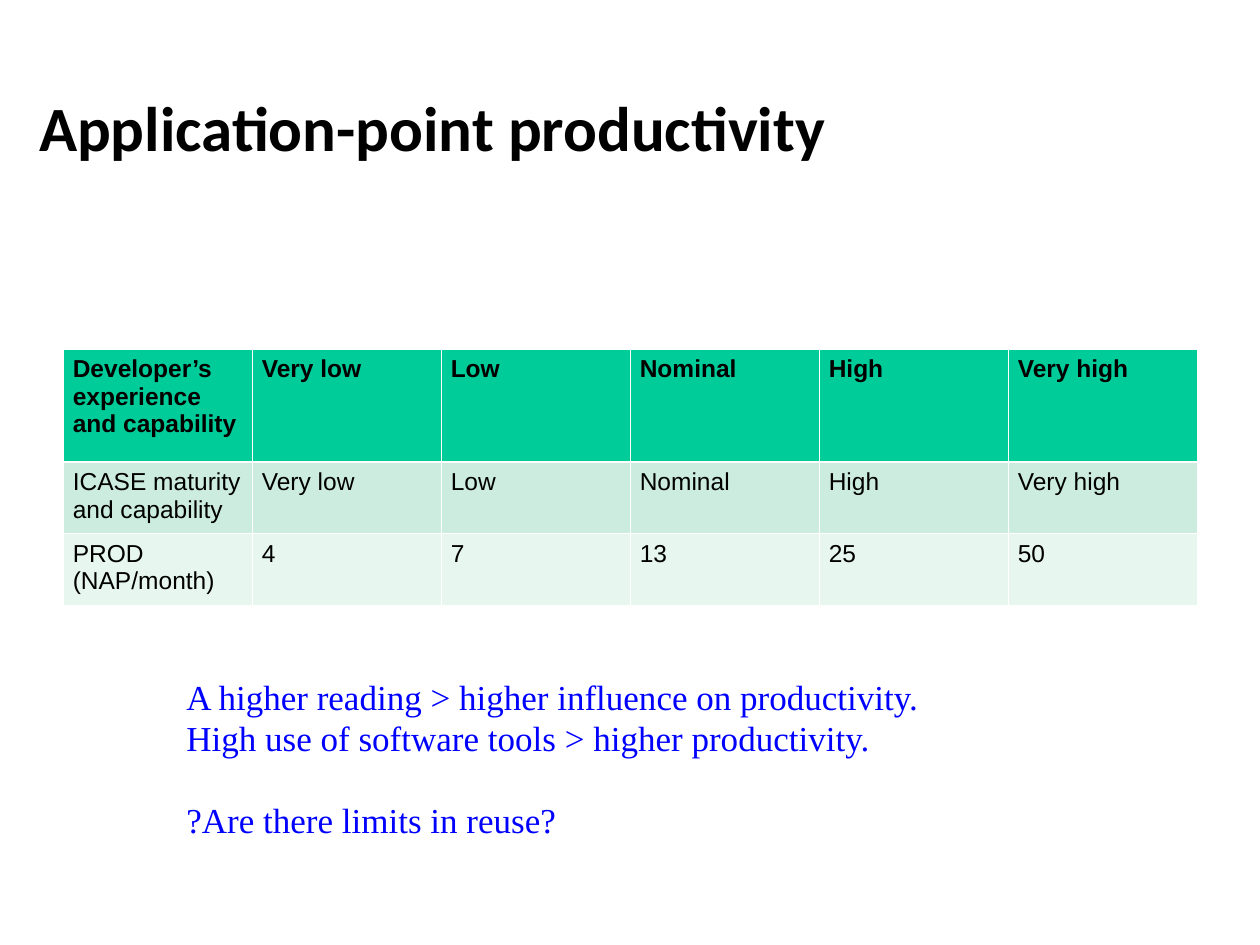
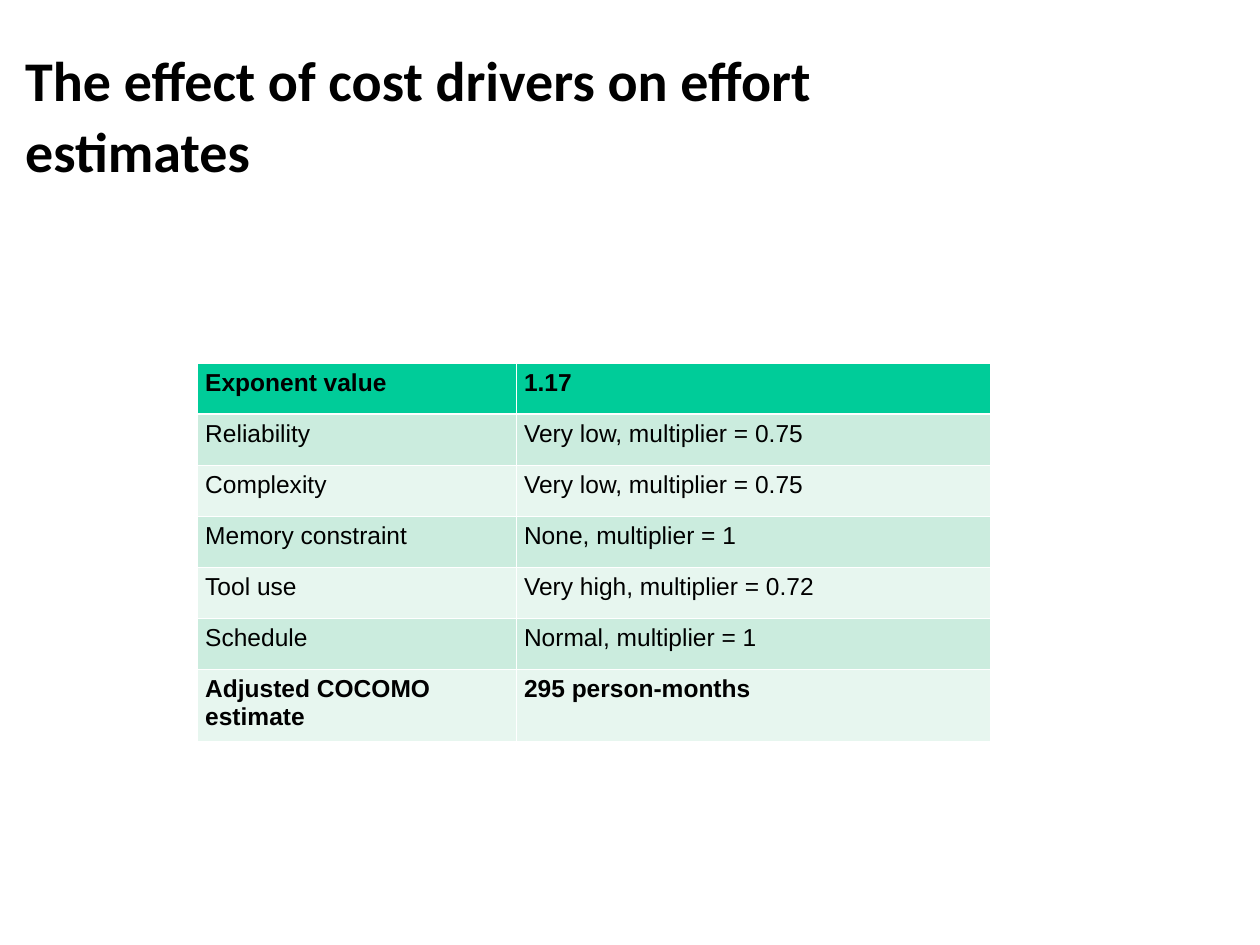
from lxml.etree import SubElement
from pptx import Presentation
from pptx.dml.color import RGBColor
from pptx.enum.text import MSO_ANCHOR as Anchor, MSO_AUTO_SIZE as AutoSize, PP_ALIGN as Align
from pptx.oxml.ns import qn
from pptx.util import Pt

COLORS = {name: RGBColor.from_string(value) for name, value in {
    "paper": "FFFFFF", "ink": "000000", "note": "0000FF",
    "header": "00CC99", "odd_row": "CBECDE", "even_row": "E7F6EF"}.items()}
TITLE_ONLY = 5
THIN, THICK = 0.45, 1.47


def style_text(para, font_name, size, color, bold=False):
    for span in para.runs:
        span.font.name = font_name
        span.font.size = Pt(size)
        span.font.bold = bold
        span.font.color.rgb = COLORS[color]


def add_border(cell, side, width):
    """Draw a white rule on one side (L, R, T or B); call before filling the cell."""
    line = SubElement(cell._tc.get_or_add_tcPr(), qn(f"a:ln{side}"), w=str(Pt(width)))
    fill = SubElement(line, qn("a:solidFill"))
    SubElement(fill, qn("a:srgbClr"), val=str(COLORS["paper"]))


slides = [
    {
        "title": "Application-point productivity",
        "title_box": (22.3, 25.9, 504.7, 90), "title_size": 36,
        "table_at": (36, 199.4), "columns": [108] * 6, "rows": [64.6, 41, 41],
        "side_margin": 5.6, "space_after": 0, "bold_rows": {0},
        "cells": [
            ["Developer’s experience and capability",
             "Very low", "Low", "Nominal", "High", "Very high"],
            ["ICASE maturity and capability",
             "Very low", "Low", "Nominal", "High", "Very high"],
            ["PROD (NAP/month)", "4", "7", "13", "25", "50"],
        ],
    },
    {
        "title": "The effect of cost drivers on effort estimates",
        "title_box": (14.4, 20.2, 573.1, 88.6), "title_size": 32,
        "table_at": (113, 207.6), "columns": [182.2, 270.7], "rows": [29.15] * 6 + [41],
        "side_margin": 4.3, "space_after": 3, "bold_rows": {0, 6},
        "cells": [
            ["Exponent value", "1.17"],
            ["Reliability", "Very low, multiplier = 0.75"],
            ["Complexity", "Very low, multiplier = 0.75"],
            ["Memory constraint", "None, multiplier = 1"],
            ["Tool use", "Very high, multiplier = 0.72"],
            ["Schedule", "Normal, multiplier = 1"],
            ["Adjusted COCOMO estimate", "295 person-months"],
        ],
    },
]

deck = Presentation()
deck.slide_width, deck.slide_height = Pt(720), Pt(540)

for content in slides:
    page = deck.slides.add_slide(deck.slide_layouts[TITLE_ONLY])

    # Title
    title = page.shapes.title
    title.left, title.top, title.width, title.height = map(Pt, content["title_box"])
    title.fill.solid()
    title.fill.fore_color.rgb = COLORS["paper"]
    title.line.color.rgb = COLORS["paper"]
    title.line.width = Pt(2)
    frame = title.text_frame
    frame.text = content["title"]
    frame.auto_size = AutoSize.NONE
    frame.word_wrap = True
    frame.vertical_anchor = Anchor.MIDDLE
    frame.margin_left = frame.margin_right = frame.margin_top = frame.margin_bottom = 0
    para = frame.paragraphs[0]
    para.alignment = Align.LEFT
    para.line_spacing = 1.06
    style_text(para, "Calibri", content["title_size"], "ink", bold=True)

    # Table
    widths, heights = content["columns"], content["rows"]
    left, top = content["table_at"]
    table = page.shapes.add_table(len(heights), len(widths), Pt(left), Pt(top),
                                  Pt(sum(widths)), Pt(sum(heights))).table
    for column, width in zip(table.columns, widths):
        column.width = Pt(width)
    for row_index, (row, height) in enumerate(zip(table.rows, heights)):
        row.height = Pt(height)
        if row_index == 0:
            row_color = "header"
        else:
            row_color = "odd_row" if row_index % 2 else "even_row"
        for column_index, cell in enumerate(row.cells):
            cell.text = content["cells"][row_index][column_index]
            cell.margin_left = cell.margin_right = Pt(content["side_margin"])
            cell.margin_top = cell.margin_bottom = Pt(3.6)
            add_border(cell, "L", THIN)
            add_border(cell, "R", THIN)
            add_border(cell, "T", THICK if row_index == 1 else THIN)
            add_border(cell, "B", THICK if row_index == 0 else THIN)
            cell.fill.solid()
            cell.fill.fore_color.rgb = COLORS[row_color]
            para = cell.text_frame.paragraphs[0]
            para.alignment = Align.JUSTIFY if column_index else Align.LEFT
            para.space_after = Pt(content["space_after"])
            style_text(para, "Arial", 14, "ink", bold=row_index in content["bold_rows"])

# Remarks under the productivity table
remarks = deck.slides[0].shapes.add_textbox(Pt(99.4), Pt(383), Pt(522), Pt(100.8))
frame = remarks.text_frame
frame.word_wrap = True
frame.text = "\n".join([
    "A higher reading > higher influence on productivity.",
    "High use of software tools > higher productivity.",
    "?Are there limits in reuse?",
])
line_height = Pt(23.4)
for para in frame.paragraphs:
    para.line_spacing = line_height
    style_text(para, "Times New Roman", 20, "note")
frame.paragraphs[-1].space_before = line_height

deck.save("out.pptx")
